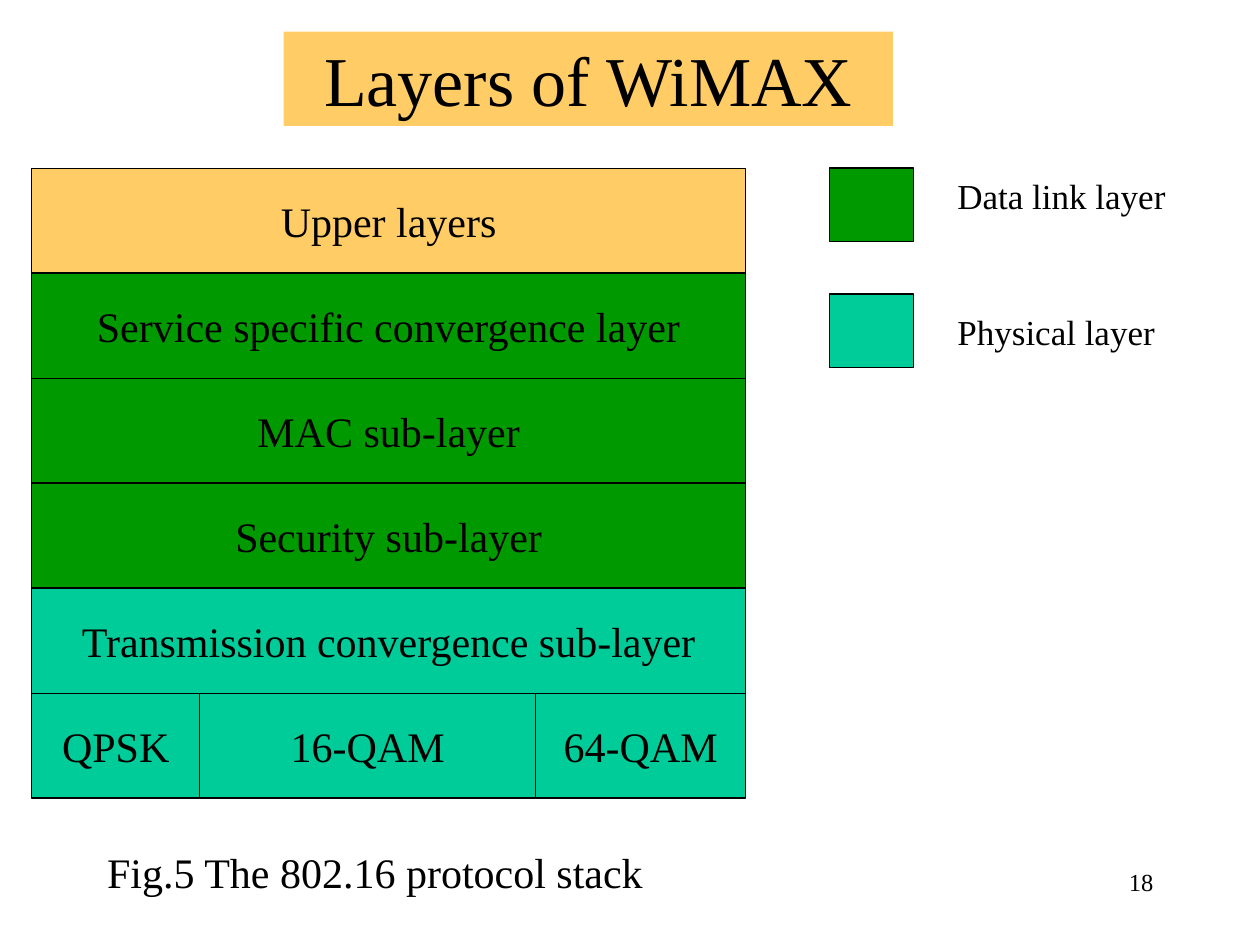
import pptx
import pptx.util
import pptx.dml.color
import pptx.enum.shapes
import pptx.enum.text
from dataclasses import dataclass

Cm = pptx.util.Cm
Pt = pptx.util.Pt
Align = pptx.enum.text.PP_ALIGN
Anchor = pptx.enum.text.MSO_ANCHOR


@dataclass(frozen=True)
class Theme:
    font: str = "Times New Roman"
    ink: str = "000000"
    sand: str = "FFCC66"
    green: str = "009900"
    teal: str = "00CC99"
    rule: float = 0.75
    title: int = 40
    body: int = 24
    key: int = 20
    page: int = 14


look = Theme()

title = ("Layers of WiMAX", (5.72, 0.64, 12.28, 1.9))
stack = [
    (look.sand, [("Upper layers", 1)]),
    (look.green, [("Service specific convergence layer", 1)]),
    (look.green, [("MAC sub-layer", 1)]),
    (look.green, [("Security sub-layer", 1)]),
    (look.teal, [("Transmission convergence sub-layer", 1)]),
    (look.teal, [("QPSK", 4), ("16-QAM", 8), ("64-QAM", 5)]),
]
area = (0.64, 3.39, 14.39, 12.7)
keys = [
    (look.green, 3.39, "Data link layer", 3.39),
    (look.teal, 5.93, "Physical layer", 6.14),
]
notes = [
    ("Fig.5 The 802.16 protocol stack", (1.91, 16.93, 12.91, 1.27), look.body, Align.LEFT),
    ("18", (18.21, 17.36, 5.29, 1.27), look.page, Align.RIGHT),
]


def tint(code):
    return pptx.dml.color.RGBColor.from_string(code)


def apply(item, form):
    for name, value in form.items():
        setattr(item, name, value)


def write(shape, text, size, align, **frame):
    apply(shape.text_frame, frame)
    para = shape.text_frame.paragraphs[0]
    para.alignment = align
    run = para.add_run()
    run.text = text
    apply(run.font, {"name": look.font, "size": Pt(size)})
    run.font.color.rgb = tint(look.ink)


def block(home, place, fill, edge=True):
    kind = pptx.enum.shapes.MSO_SHAPE.RECTANGLE
    shape = home.add_shape(kind, *map(Cm, place))
    shape.shadow.inherit = False
    shape.fill.solid()
    shape.fill.fore_color.rgb = tint(fill)
    if edge:
        shape.line.color.rgb = tint(look.ink)
        shape.line.width = Pt(look.rule)
    else:
        shape.line.fill.background()
    return shape


def label(home, text, place, size, align=Align.LEFT):
    box = home.add_textbox(*map(Cm, place))
    write(box, text, size, align, word_wrap=True)


def layers(home):
    left, top, width, height = area
    group = home.add_group_shape().shapes
    step = height / len(stack)
    for row, (fill, cells) in enumerate(stack):
        unit = width / sum(share for _, share in cells)
        x = left
        for text, share in cells:
            shape = block(group, (x, top + row * step, share * unit, step), fill)
            write(shape, text, look.body, Align.CENTER,
                  word_wrap=False, vertical_anchor=Anchor.MIDDLE)
            x += share * unit


def main():
    deck = pptx.Presentation()
    apply(deck, {"slide_width": Cm(25.4), "slide_height": Cm(19.05)})
    home = deck.slides.add_slide(deck.slide_layouts[6]).shapes
    layers(home)
    for fill, top, text, level in keys:
        block(home, (16.72, top, 1.69, 1.48), fill)
        label(home, text, (19.05, level, 5.5, 1.1), look.key)
    for note in notes:
        label(home, *note)
    text, place = title
    write(block(home, place, look.sand, edge=False), text, look.title, Align.CENTER,
          word_wrap=True, vertical_anchor=Anchor.MIDDLE)
    deck.save("out.pptx")


if __name__ == "__main__":
    main()
